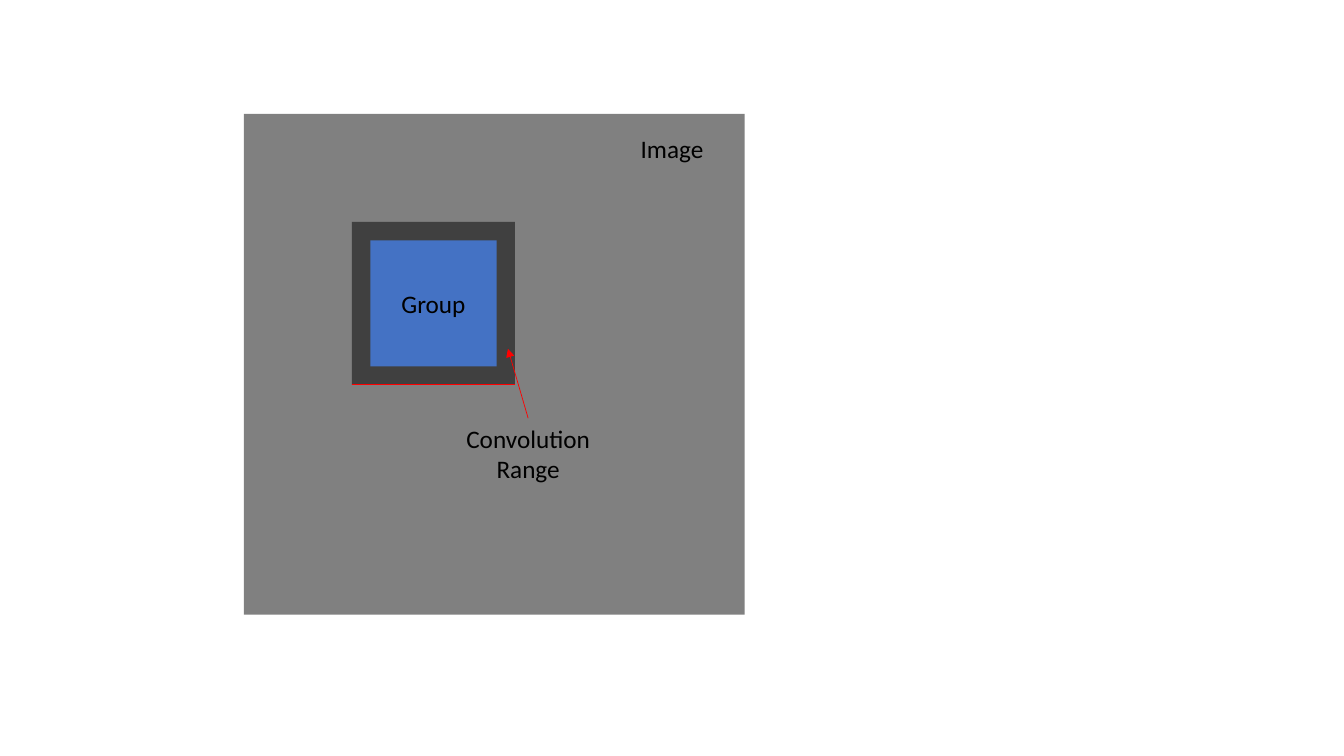
from dataclasses import dataclass

from lxml import etree
from pptx import Presentation
from pptx import util as u
from pptx.dml import color
from pptx.enum import shapes, text
from pptx.oxml import ns
from pptx.slide import Slide


@dataclass
class Square:
    left: float
    top: float
    side: float
    fill: str


@dataclass
class Label:
    left: float
    top: float
    width: float
    height: float
    lines: list[str]


@dataclass
class Stroke:
    start: tuple[float, float]
    end: tuple[float, float]
    width: float
    arrow: bool = False


RED = "FF0000"
RANGE_LEFT, RANGE_TOP, RANGE_SIDE = 8.87, 5.59, 4.11
RANGE_BOTTOM = RANGE_TOP + RANGE_SIDE
GROUP_SIDE = 3.18
GROUP_INSET = (RANGE_SIDE - GROUP_SIDE) / 2

SQUARES = [
    Square(6.15, 2.87, 12.62, "808080"),
    Square(RANGE_LEFT, RANGE_TOP, RANGE_SIDE, "404040"),
    Square(RANGE_LEFT + GROUP_INSET, RANGE_TOP + GROUP_INSET, GROUP_SIDE, "4472C4"),
]
LABELS = [
    Label(15.88, 3.23, 2.11, 1.02, ["Image"]),
    Label(11.48, 10.54, 3.66, 1.8, ["Convolution", "Range"]),
    Label(9.86, 7.14, 2.13, 1.02, ["Group"]),
]
STROKES = [
    Stroke((RANGE_LEFT, RANGE_BOTTOM), (RANGE_LEFT + RANGE_SIDE, RANGE_BOTTOM), 0.75),
    Stroke((13.31, 10.54), (12.8, 8.79), 0.5, arrow=True),
]
FONT_FORMAT = {"name": "Calibri", "size": u.Pt(18)}


def rgb(value: str) -> color.RGBColor:
    return color.RGBColor.from_string(value)


def draw_square(page: Slide, square: Square) -> None:
    box = page.shapes.add_shape(
        shapes.MSO_SHAPE.RECTANGLE,
        u.Cm(square.left), u.Cm(square.top), u.Cm(square.side), u.Cm(square.side),
    )
    box.shadow.inherit = False
    box.fill.solid()
    box.fill.fore_color.rgb = rgb(square.fill)
    box.line.fill.background()


def draw_label(page: Slide, label: Label) -> None:
    box = page.shapes.add_textbox(
        u.Cm(label.left), u.Cm(label.top), u.Cm(label.width), u.Cm(label.height)
    )
    frame = box.text_frame
    frame.word_wrap = False
    frame.auto_size = text.MSO_AUTO_SIZE.SHAPE_TO_FIT_TEXT
    frame.text = "\n".join(label.lines)
    for para in frame.paragraphs:
        para.alignment = text.PP_ALIGN.CENTER
        for span in para.runs:
            for name, value in FONT_FORMAT.items():
                setattr(span.font, name, value)
            span.font.color.rgb = rgb("000000")


def draw_stroke(page: Slide, stroke: Stroke) -> None:
    connector = page.shapes.add_connector(
        shapes.MSO_CONNECTOR.STRAIGHT,
        *(u.Cm(value) for value in stroke.start + stroke.end),
    )
    connector.line.color.rgb = rgb(RED)
    connector.line.width = u.Pt(stroke.width)
    if stroke.arrow:
        outline = connector.line._get_or_add_ln()
        etree.SubElement(outline, ns.qn("a:tailEnd"), type="triangle")
    etree.SubElement(connector._element.spPr, ns.qn("a:effectLst"))


def main() -> None:
    deck = Presentation()
    deck.slide_width, deck.slide_height = u.Cm(33.87), u.Cm(19.05)
    page = deck.slides.add_slide(deck.slide_layouts[6])
    for square in SQUARES:
        draw_square(page, square)
    for stroke in STROKES:
        draw_stroke(page, stroke)
    for label in LABELS:
        draw_label(page, label)
    deck.save("out.pptx")


if __name__ == "__main__":
    main()
